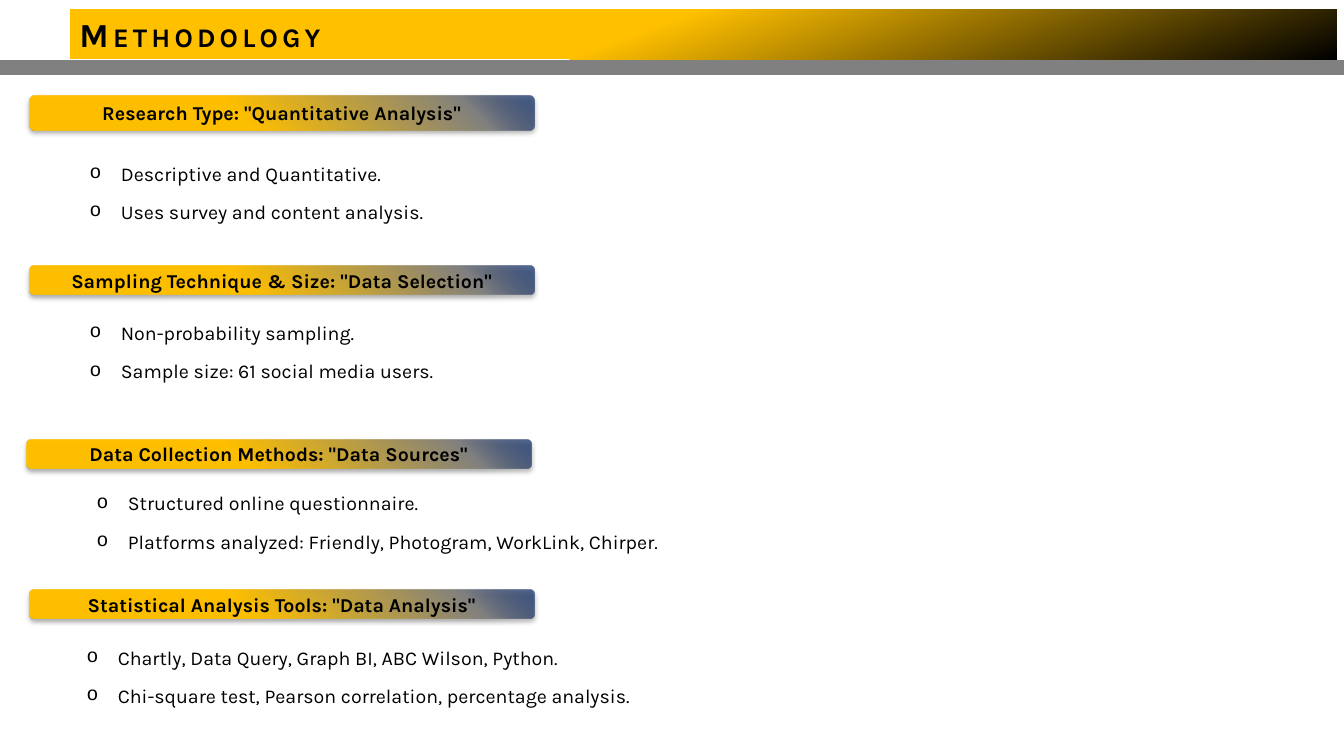
import pptx
import pptx.util
import pptx.dml.color
import pptx.enum.shapes
import pptx.enum.text
import pptx.oxml
import pptx.oxml.ns
from pptx.util import Inches

BLACK = pptx.dml.color.RGBColor(0x00, 0x00, 0x00)
GOLD = pptx.dml.color.RGBColor(0xFF, 0xC0, 0x00)
GREY = pptx.dml.color.RGBColor(0x80, 0x80, 0x80)
NAVY = pptx.dml.color.RGBColor(0x00, 0x20, 0x60)
FONT = "Karla"
NS = pptx.oxml.ns.nsdecls("a")


def add_band(kind, box, stops, direction):
    """Add a borderless shape with a gradient of (position, colour, opacity) stops."""
    band = slide.shapes.add_shape(kind, *map(Inches, box))
    band.shadow.inherit = False
    band.line.fill.background()
    stop_xml = "".join(
        f'<a:gs pos="{pos * 1000}"><a:srgbClr val="{colour}">'
        f'<a:alpha val="{opacity * 1000}"/></a:srgbClr></a:gs>'
        for pos, colour, opacity in stops)
    gradient = pptx.oxml.parse_xml(
        f'<a:gradFill {NS} rotWithShape="1"><a:gsLst>{stop_xml}</a:gsLst>{direction}</a:gradFill>')
    band._element.spPr.insert(2, gradient)  # directly after the geometry
    return band


def add_run(paragraph, text, size, bold):
    run = paragraph.add_run()
    run.text = text
    run.font.size = pptx.util.Pt(size)
    run.font.name = FONT
    run.font.bold = bold
    run.font.color.rgb = BLACK
    return run


presentation = pptx.Presentation()
presentation.slide_width = Inches(13.33)
presentation.slide_height = Inches(7.5)
slide = presentation.slides.add_slide(presentation.slide_layouts[6])

# Grey rule under the title
title_rule = slide.shapes.add_connector(
    pptx.enum.shapes.MSO_CONNECTOR.STRAIGHT,
    Inches(0), Inches(0.67), Inches(13.33), Inches(0.67))
title_rule.line.color.rgb = GREY
title_rule.line.width = pptx.util.Pt(10)
title_rule._element.spPr.append(pptx.oxml.parse_xml(f"<a:effectLst {NS}/>"))

# Title band
title = add_band(pptx.enum.shapes.MSO_SHAPE.RECTANGLE, (0.69, 0.09, 12.57, 0.5),
                 [(45, GOLD, 100), (100, BLACK, 100)], '<a:lin ang="4200000" scaled="0"/>')
title.text_frame.word_wrap = True
title.text_frame.auto_size = pptx.enum.text.MSO_AUTO_SIZE.SHAPE_TO_FIT_TEXT
title.text_frame.vertical_anchor = pptx.enum.text.MSO_ANCHOR.TOP
title.text_frame.paragraphs[0].alignment = pptx.enum.text.PP_ALIGN.LEFT
title_run = add_run(title.text_frame.paragraphs[0], "Methodology", 24, True)
title_run.font._element.set("spc", "300")
title_run.font._element.set("cap", "small")

# Sections: heading, its left, top and height, then the points with their left and top
sections = [
    ('Research Type: "Quantitative Analysis"', 0.29, 0.95, 0.34, 0.29, 1.52,
     ["Descriptive and Quantitative.", "Uses survey and content analysis."]),
    ('Sampling Technique & Size: "Data Selection"', 0.29, 2.64, 0.28, 0.29, 3.1,
     ["Non-probability sampling.", "Sample size: 61 social media users."]),
    ('Data Collection Methods: "Data Sources"', 0.26, 4.36, 0.29, 0.36, 4.79,
     ["Structured online questionnaire.",
      "Platforms analyzed: Friendly, Photogram, WorkLink, Chirper."]),
    ('Statistical Analysis Tools: "Data Analysis"', 0.29, 5.85, 0.29, 0.26, 6.32,
     ["Chartly, Data Query, Graph BI, ABC Wilson, Python.",
      "Chi-square test, Pearson correlation, percentage analysis."]),
]
heading_stops = [(0, GOLD, 100), (42, GOLD, 100), (86, GREY, 100), (100, NAVY, 67)]
from_bottom_left = ('<a:path path="circle">'
                    '<a:fillToRect l="0" t="100000" r="100000" b="0"/></a:path>')

for heading_text, left, top, height, points_left, points_top, points in sections:
    # Heading bar with a soft shadow below
    heading = add_band(pptx.enum.shapes.MSO_SHAPE.ROUNDED_RECTANGLE, (left, top, 5.01, height),
                       heading_stops, from_bottom_left)
    effects = heading._element.spPr.find(pptx.oxml.ns.qn("a:effectLst"))
    effects.append(pptx.oxml.parse_xml(
        f'<a:outerShdw {NS} blurRad="{pptx.util.Pt(3.5)}" dist="{pptx.util.Pt(2.2)}" '
        f'dir="5400000" rotWithShape="0"><a:srgbClr val="{BLACK}">'
        '<a:alpha val="32000"/></a:srgbClr></a:outerShdw>'))
    heading.text_frame.word_wrap = True
    heading.text_frame.vertical_anchor = pptx.enum.text.MSO_ANCHOR.MIDDLE
    heading.text_frame.paragraphs[0].alignment = pptx.enum.text.PP_ALIGN.CENTER
    add_run(heading.text_frame.paragraphs[0], heading_text, 14, True)

    # Bulleted points
    frame = slide.shapes.add_textbox(Inches(points_left), Inches(points_top),
                                     Inches(12.78), Inches(0.74)).text_frame
    frame.word_wrap = True
    frame.auto_size = pptx.enum.text.MSO_AUTO_SIZE.SHAPE_TO_FIT_TEXT
    for index, point in enumerate(points):
        paragraph = frame.add_paragraph() if index else frame.paragraphs[0]
        paragraph.level = 1
        paragraph.line_spacing = 1.15
        paragraph.space_after = pptx.util.Pt(8)
        properties = paragraph._p.get_or_add_pPr()
        properties.set("marL", str(Inches(0.81)))
        properties.set("indent", str(Inches(-0.31)))
        for bullet_xml in (f'<a:buFont {NS} typeface="Courier New"/>',
                           f'<a:buChar {NS} char="o"/>',
                           f'<a:tabLst {NS}><a:tab pos="{Inches(1)}" algn="l"/></a:tabLst>'):
            properties.append(pptx.oxml.parse_xml(bullet_xml))
        add_run(paragraph, point, 14, False)

presentation.save("out.pptx")
